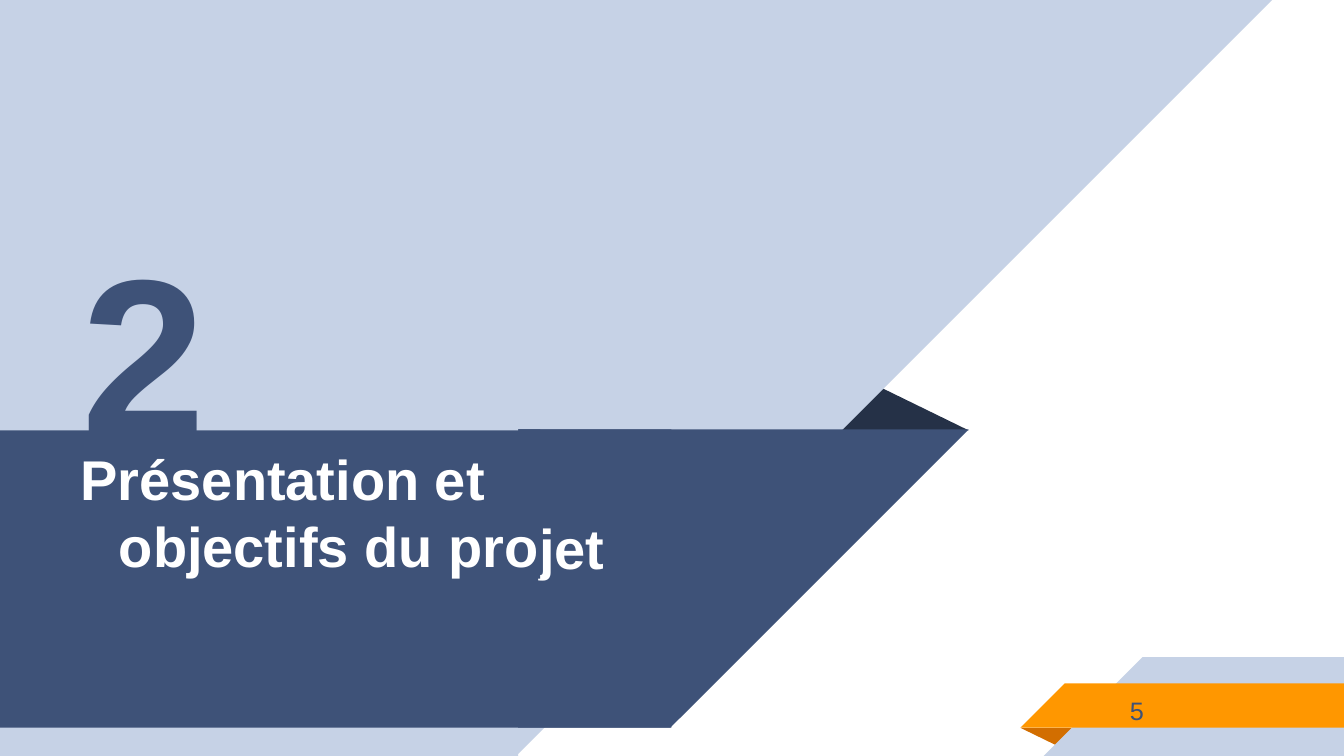
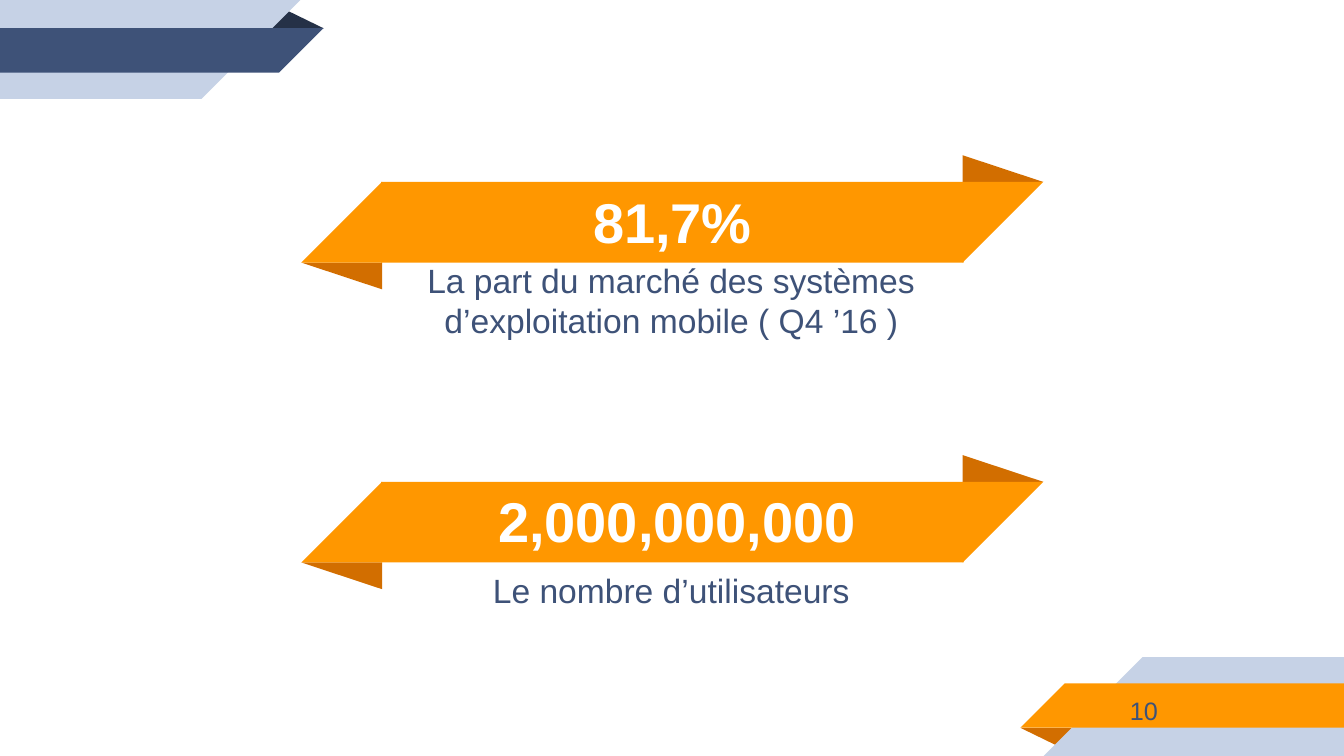
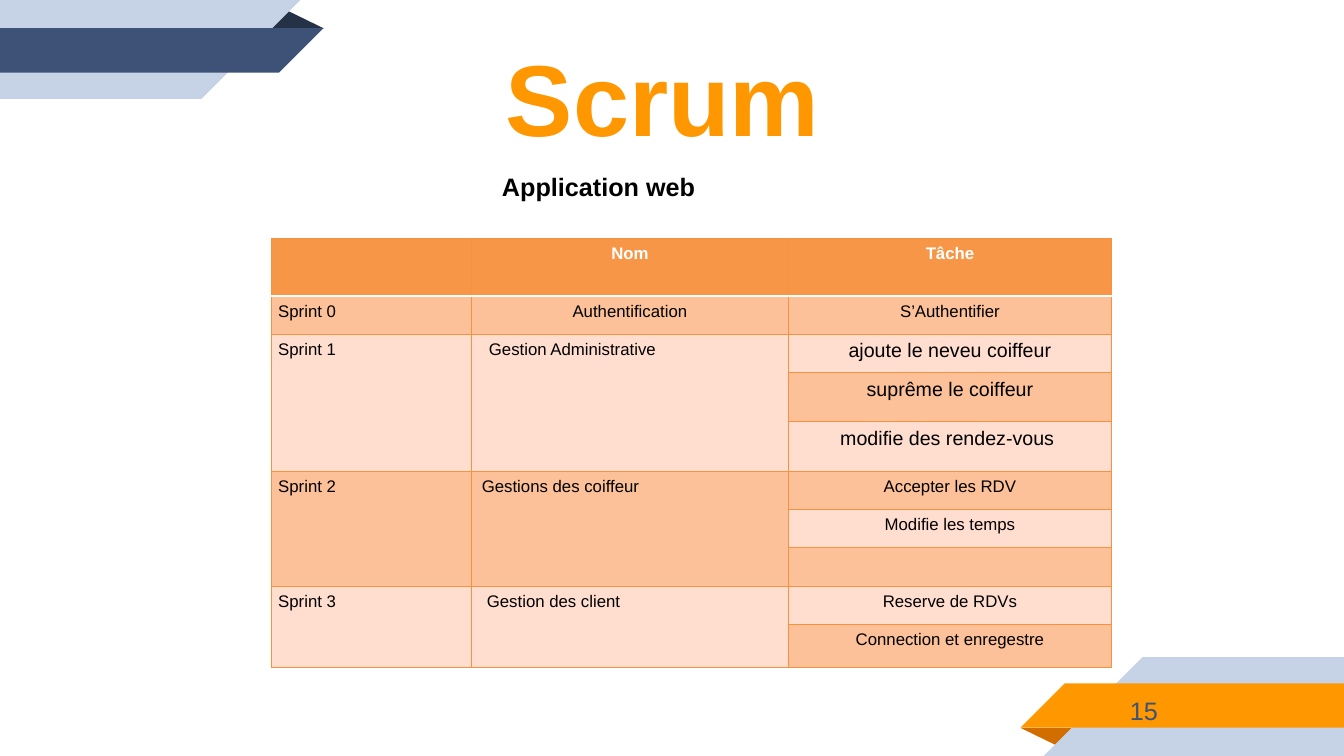
import pptx
import pptx.util
import pptx.dml.color
import pptx.enum.shapes
import pptx.enum.text
import pptx.oxml
import pptx.oxml.ns
from dataclasses import dataclass

ALIGN = pptx.enum.text.PP_ALIGN
ANCHOR = pptx.enum.text.MSO_ANCHOR
RECTANGLE = pptx.enum.shapes.MSO_SHAPE.RECTANGLE

# The grid has square cells of a tenth of an inch
CELL = 91440
COLUMNS, ROWS = 133.33, 75


@dataclass(frozen=True)
class Theme:
    font: str = "Arial"
    white: str = "FFFFFF"
    black: str = "000000"
    navy: str = "3E5278"
    navy_fold: str = "253147"
    pale: str = "C6D2E6"
    orange: str = "FF9700"
    orange_fold: str = "D26E00"
    header: str = "F79646"
    rule: str = "F69240"
    row_strong: str = "FCC198"
    row_light: str = "FFDDCF"
    numeral: float = 160
    headline: float = 72
    banner: float = 40
    caption: float = 24
    label: float = 18
    task: float = 14
    cell: float = 12


THEME = Theme()


@dataclass(frozen=True)
class Box:
    """A region of the grid, in columns and rows."""
    left: float
    top: float
    width: float
    height: float

    def emu(self):
        return [cells(v) for v in (self.left, self.top, self.width, self.height)]


def cells(count):
    return pptx.util.Emu(round(count * CELL))


def rgb(colour):
    return pptx.dml.color.RGBColor.from_string(colour)


def apply(target, values):
    for name, value in values.items():
        setattr(target, name, value)


def paint(shape, colour):
    shape.fill.solid()
    shape.fill.fore_color.rgb = rgb(colour)
    shape.line.fill.background()


def polygon(slide, points, colour):
    corners = [(cells(x), cells(y)) for x, y in points]
    builder = slide.shapes.build_freeform(*corners[0])
    builder.add_line_segments(corners[1:], close=True)
    outline = builder.convert_to_shape()
    outline.shadow.inherit = False
    paint(outline, colour)


def write(paragraph, text, size, colour, bold=False, align=ALIGN.LEFT,
          indent=0, hang=0, spacing=1.0):
    """Fill one paragraph; indents are in grid columns."""
    apply(paragraph, {"alignment": align, "line_spacing": spacing})
    properties = paragraph._p.get_or_add_pPr()
    properties.set("marL", str(cells(indent)))
    properties.set("indent", str(cells(hang)))
    run = paragraph.add_run()
    run.text = text
    apply(run.font, {"name": THEME.font, "size": pptx.util.Pt(size), "bold": bold})
    run.font.color.rgb = rgb(colour)


def set_text(shape, text, size, colour, inset=0.1, anchor=ANCHOR.TOP, **style):
    frame = shape.text_frame
    apply(frame, {
        "word_wrap": True, "auto_size": pptx.enum.text.MSO_AUTO_SIZE.NONE,
        "vertical_anchor": anchor, "margin_left": 0, "margin_right": 0,
        "margin_top": cells(inset), "margin_bottom": 0})
    write(frame.paragraphs[0], text, size, colour, **style)


def add_text(slide, box, *args, **style):
    set_text(slide.shapes.add_textbox(*box.emu()), *args, **style)


def add_panel(slide, box, fill, *args, **style):
    panel = slide.shapes.add_shape(RECTANGLE, *box.emu())
    panel.shadow.inherit = False
    paint(panel, fill)
    set_text(panel, *args, **style)


def place_title(slide, box, *args, fill=None, **style):
    """Move the title placeholder into its box, in front of the bands."""
    title = slide.shapes.title
    title.element.getparent().append(title.element)
    apply(title, dict(zip(("left", "top", "width", "height"), box.emu())))
    if fill:
        paint(title, fill)
    set_text(title, *args, **style)


# Shared corner bands and page number

def corner_bands(slide, band, fold, opposite=False):
    """Bands of the top left corner, or turned to the bottom right one."""
    parts = [
        (fold, [(28.2, 0.9), (26.4, 2.8), (32.1, 2.8)]),
        (THEME.pale, [(0, 0), (29.8, 0), (20, 9.8), (0, 9.8)]),
        (band, [(0, 2.8), (32.1, 2.8), (27.7, 7.2), (0, 7.2)])]
    for colour, points in parts:
        if opposite:
            points = [(COLUMNS - x, ROWS - y) for x, y in points]
        polygon(slide, points, colour)


def new_slide(deck, page, top_bands=True):
    slide = deck.slides.add_slide(deck.slide_layouts[5])
    corner_bands(slide, THEME.orange, THEME.orange_fold, opposite=True)
    if top_bands:
        corner_bands(slide, THEME.navy, THEME.navy_fold)
    add_text(slide, Box(111.7, 68.5, 3.6, 3.1), str(page), THEME.label,
             THEME.navy, inset=0, indent=0.4, spacing=1.16)
    return slide


# Section opener

def section_backdrop(slide, band):
    right, bottom = band.left + band.width, band.top + band.height
    polygon(slide, [(87.3, 38.4), (83.1, 42.7), (right, 42.7)], THEME.navy_fold)
    polygon(slide, [(0, 0), (126.2, 0), (51.4, 74.8), (51.4, ROWS), (0, ROWS)],
            THEME.pale)
    polygon(slide, [(band.left, band.top), (right, band.top),
                    (right - band.height, bottom), (band.left, bottom)],
            THEME.navy)


def section_slide(deck):
    slide = new_slide(deck, 5, top_bands=False)
    band = Box(0, 42.6, 96.1, 29.6)
    section_backdrop(slide, band)
    heading = {"size": THEME.banner, "colour": THEME.white, "bold": True}
    add_panel(slide, Box(51.4, band.top, 15.2, band.height), THEME.navy,
              "jet", inset=8.3, indent=2.1, **heading)
    add_panel(slide, Box(0, band.top, 53.6, 14.8), THEME.navy,
              "Présentation et objectifs du pro", inset=1.3,
              anchor=ANCHOR.BOTTOM, indent=11.8, hang=-3.8, **heading)
    place_title(slide, Box(0, 0, 51.4, 42.7), "2", THEME.numeral, THEME.navy,
                fill=THEME.pale, inset=17.1, bold=True, indent=8.1,
                spacing=1.15)


# Key figures on folded ribbons

def ribbon_ends(slide, box):
    """Slanted ends with folds; the left end is the right one turned around."""
    right, bottom = box.left + box.width, box.top + box.height
    inner, fold = right - box.height, 2.65
    parts = [
        (THEME.orange_fold, [(inner, box.top - fold), (inner, box.top),
                             (right, box.top)]),
        (THEME.orange, [(right, box.top), (inner, box.top), (inner, bottom)])]
    for colour, points in parts:
        polygon(slide, points, colour)
        polygon(slide, [(box.left + right - x, box.top + bottom - y)
                        for x, y in points], colour)


def figures_slide(deck):
    slide = new_slide(deck, 10)
    ribbons = [Box(29.9, top, 73.6, 8) for top in (18.05, 47.8)]
    for ribbon in ribbons:
        ribbon_ends(slide, ribbon)
    share, users = [Box(37.8, r.top, 57.8, r.height) for r in ribbons]
    figure = {"size": THEME.banner, "colour": THEME.white, "bold": True,
              "align": ALIGN.CENTER, "fill": THEME.orange}
    caption = {"size": THEME.caption, "colour": THEME.navy}
    place_title(slide, share, "81,7%", inset=0.6, **figure)
    add_text(slide, Box(42.3, share.top + 7.65, 48.6, 8.3),
             "La part du marché des systèmes d’exploitation mobile ( Q4 ’16 )",
             indent=1.8, hang=-1.7, **caption)
    add_panel(slide, users, text="2,000,000,000", inset=0.5, indent=0.9,
              **figure)
    add_text(slide, Box(48.8, users.top + 8.6, 35.7, 4.3),
             "Le nombre d’utilisateurs", indent=0.1, **caption)


# Sprint table

COLUMN_WIDTHS = [19.9, 31.4, 32.1]
ROW_HEIGHTS = [5.7, 3.8, 3.8, 4.9, 4.9, 3.8, 3.8, 3.8, 3.8, 4.3]
CENTRED = {"align": ALIGN.CENTER}

# Sprint, name, style of the name, tasks, size of the tasks
SPRINTS = [
    ("Sprint 0", "Authentification", CENTRED, ["S’Authentifier"], THEME.cell),
    ("Sprint 1", "Gestion Administrative", {"indent": 1.7},
     ["ajoute le neveu coiffeur", "suprême le coiffeur",
      "modifie des rendez-vous\u00a0"], THEME.task),
    ("Sprint 2", "Gestions des coiffeur", {"indent": 1},
     ["Accepter les RDV", "Modifie les temps", ""], THEME.cell),
    ("Sprint 3", "Gestion des client", {"indent": 1.5},
     ["Reserve de RDVs", "Connection et enregestre"], THEME.cell)]


def cell_border(cell, side, colour, width):
    line = pptx.oxml.parse_xml(
        f'<a:ln{side} {pptx.oxml.ns.nsdecls("a")} w="{pptx.util.Pt(width)}">'
        f'<a:solidFill><a:srgbClr val="{colour}"/></a:solidFill></a:ln{side}>')
    cell._tc.get_or_add_tcPr().append(line)


def format_cell(cell, row):
    apply(cell, {"margin_left": 0, "margin_right": 0, "margin_bottom": 0,
                 "margin_top": cells(0.6), "vertical_anchor": ANCHOR.TOP})
    # Borders come before the fill, the header is closed by a white rule
    white_sides = {0: "B", 1: "T"}
    for side in "LRTB":
        if white_sides.get(row) == side:
            cell_border(cell, side, THEME.white, 2)
        else:
            cell_border(cell, side, THEME.rule, 0.75)
    cell.fill.solid()
    stripe = THEME.row_strong if row % 2 else THEME.row_light
    cell.fill.fore_color.rgb = rgb(stripe if row else THEME.header)


def write_cell(cell, text, size=THEME.cell, colour=THEME.black, **style):
    if text:
        write(cell.text_frame.paragraphs[0], text, size, colour, **style)


def sprint_table(slide, box):
    table = slide.shapes.add_table(
        len(ROW_HEIGHTS), len(COLUMN_WIDTHS), *box.emu()).table
    for column, width in zip(table.columns, COLUMN_WIDTHS):
        column.width = cells(width)
    for index, height in enumerate(ROW_HEIGHTS):
        table.rows[index].height = cells(height)
        for column in range(len(COLUMN_WIDTHS)):
            format_cell(table.cell(index, column), index)
    for column, heading in enumerate(["", "Nom", "Tâche"]):
        write_cell(table.cell(0, column), heading, colour=THEME.white,
                   bold=True, **CENTRED)
    first = 1
    for sprint, name, name_style, tasks, task_size in SPRINTS:
        last = first + len(tasks) - 1
        if last > first:
            for column in (0, 1):
                table.cell(first, column).merge(table.cell(last, column))
        write_cell(table.cell(first, 0), sprint, indent=0.7)
        write_cell(table.cell(first, 1), name, **name_style)
        for offset, task in enumerate(tasks):
            write_cell(table.cell(first + offset, 2), task, task_size, **CENTRED)
        first = last + 1


def scrum_slide(deck):
    slide = new_slide(deck, 15)
    place_title(slide, Box(50.1, 3.4, 31.4, 12.3), "Scrum", THEME.headline,
                THEME.orange, bold=True, indent=0.1)
    add_text(slide, Box(49.7, 16.9, 33.2, 3.2), "Application web", THEME.label,
             THEME.black, bold=True, indent=0.1)
    sprint_table(slide, Box(26.9, 23.65, sum(COLUMN_WIDTHS), sum(ROW_HEIGHTS)))


deck = pptx.Presentation()
apply(deck, {"slide_width": cells(COLUMNS), "slide_height": cells(ROWS)})
for build in (section_slide, figures_slide, scrum_slide):
    build(deck)
deck.save("out.pptx")
